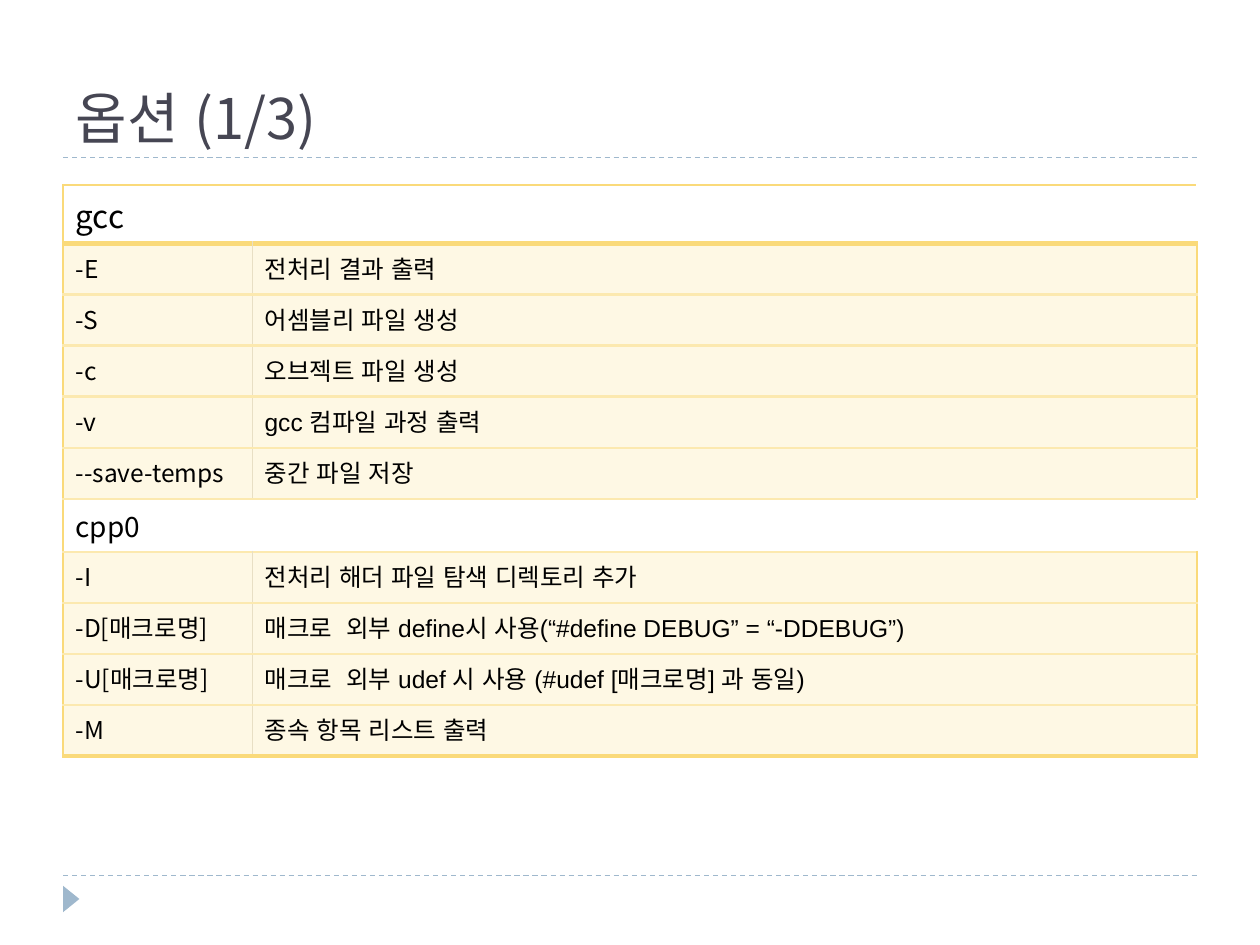
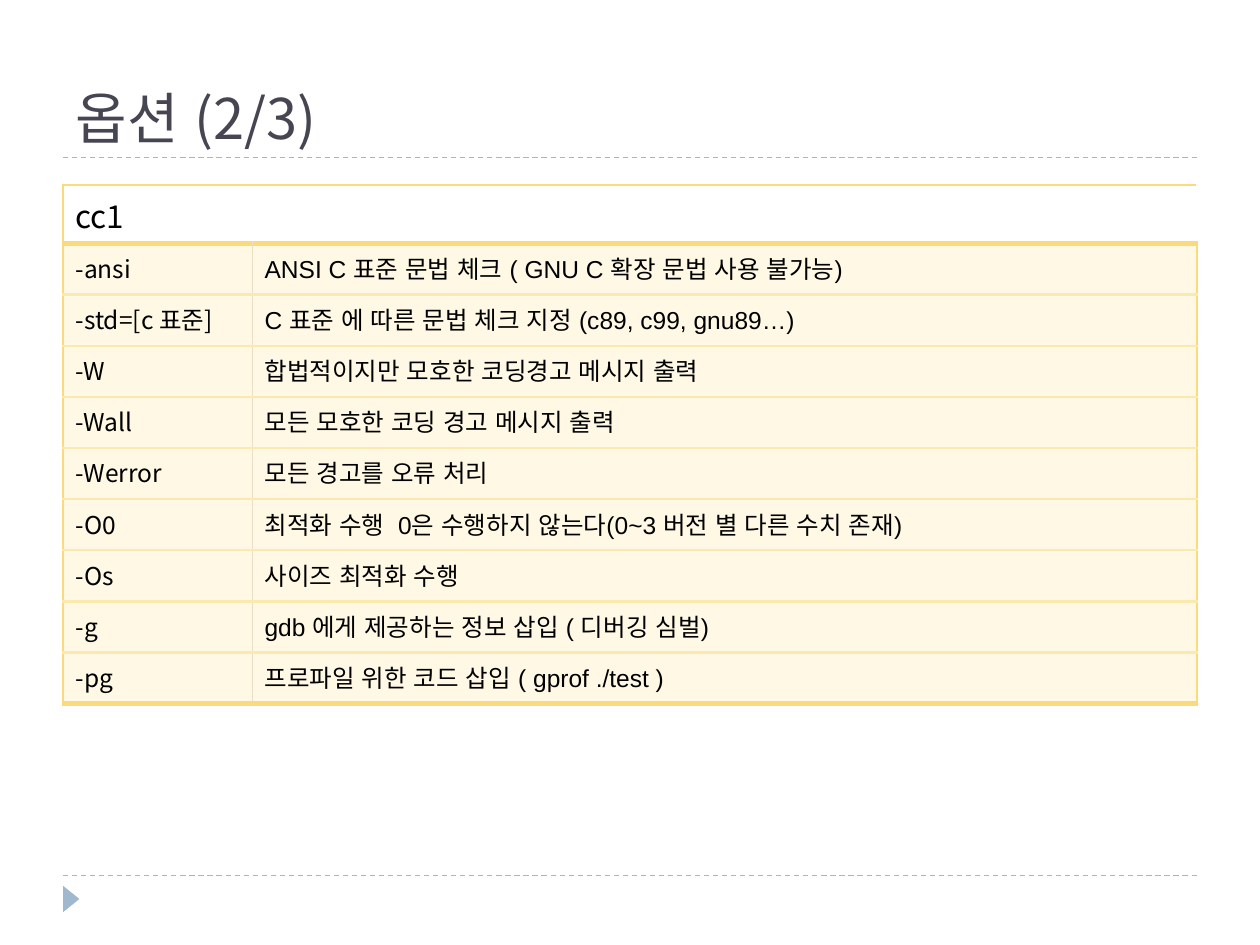
import pptx
import pptx.dml.color
import pptx.enum.dml
import pptx.enum.lang
import pptx.enum.shapes
import pptx.enum.text
import pptx.oxml
import pptx.oxml.ns
import pptx.util
from pptx.util import Inches

COLORS = {
    "title": "464653",
    "text": "000000",
    "rule": "9FB8CD",
    "white": "FFFFFF",
    "option_fill": "FEF8E4",
    "strong_border": "FADA7A",
    "row_border": "FCE9AF",
    "column_border": "E8DFC4",
}
HEADING_FONT = "Noto Sans CJK KR"
BODY_FONT = "Arial"
LEFT, WIDTH = 0.5, 9
COLUMN_WIDTHS = (1.5, 7.5)

# A row without a description is a section heading across both columns.
COMPILER_OPTIONS = [
    ("gcc", None),
    ("-E", "전처리 결과 출력"),
    ("-S", "어셈블리 파일 생성"),
    ("-c", "오브젝트 파일 생성"),
    ("-v", "gcc 컴파일 과정 출력"),
    ("--save-temps", "중간 파일 저장"),
    ("cpp0", None),
    ("-I", "전처리 해더 파일 탐색 디렉토리 추가"),
    ("-D[매크로명]", "매크로  외부 define시 사용(“#define DEBUG” = “-DDEBUG”)"),
    ("-U[매크로명]", "매크로  외부 udef 시 사용 (#udef [매크로명] 과 동일)"),
    ("-M", "종속 항목 리스트 출력"),
]
CC1_OPTIONS = [
    ("cc1", None),
    ("-ansi", "ANSI C 표준 문법 체크 ( GNU C 확장 문법 사용 불가능)"),
    ("-std=[c 표준]", "C 표준 에 따른 문법 체크 지정 (c89, c99, gnu89…)"),
    ("-W", "합법적이지만 모호한 코딩경고 메시지 출력"),
    ("-Wall", "모든 모호한 코딩 경고 메시지 출력"),
    ("-Werror", "모든 경고를 오류 처리"),
    ("-O0", "최적화 수행  0은 수행하지 않는다(0~3 버전 별 다른 수치 존재)"),
    ("-Os", "사이즈 최적화 수행"),
    ("-g", "gdb 에게 제공하는 정보 삽입 ( 디버깅 심벌)"),
    ("-pg", "프로파일 위한 코드 삽입 ( gprof ./test )"),
]


def rgb(name):
    return pptx.dml.color.RGBColor.from_string(COLORS[name])


def add_element(parent, tag, **attributes):
    element = parent.makeelement(pptx.oxml.ns.qn(tag), attributes)
    parent.append(element)
    return element


def write_text(text_frame, text, font=HEADING_FONT, size=14, color="text"):
    paragraph = text_frame.paragraphs[0]
    paragraph.alignment = pptx.enum.text.PP_ALIGN.LEFT
    run = paragraph.add_run()
    run.text = text
    run.font.name = font
    run.font.size = pptx.util.Pt(size)
    run.font.bold = False
    run.font.color.rgb = rgb(color)
    run.font.language_id = pptx.enum.lang.MSO_LANGUAGE_ID.KOREAN
    latin = run.font._element.find(pptx.oxml.ns.qn("a:latin"))
    latin.addnext(latin.makeelement(pptx.oxml.ns.qn("a:ea"), {"typeface": HEADING_FONT}))


def add_title(slide, text):
    title = slide.shapes.title
    title.left, title.top = Inches(LEFT), Inches(0.17)
    title.width, title.height = Inches(WIDTH), Inches(1.08)
    title.text_frame.auto_size = pptx.enum.text.MSO_AUTO_SIZE.NONE
    title.text_frame.vertical_anchor = pptx.enum.text.MSO_ANCHOR.BOTTOM
    write_text(title.text_frame, text, size=32, color="title")


def add_dashed_rule(slide, top):
    rule = slide.shapes.add_connector(
        pptx.enum.shapes.MSO_CONNECTOR.STRAIGHT,
        Inches(LEFT), Inches(top), Inches(LEFT + WIDTH), Inches(top))
    rule.line.color.rgb = rgb("rule")
    rule.line.width = pptx.util.Pt(0.75)
    rule.line.dash_style = pptx.enum.dml.MSO_LINE.DASH
    add_element(rule._element.spPr, "a:effectLst")


def add_footer_marker(slide):
    marker = slide.shapes.add_shape(
        pptx.enum.shapes.MSO_SHAPE.ISOSCELES_TRIANGLE,
        Inches(0.46), Inches(7.07), Inches(0.21), Inches(0.13))
    marker.rotation = 90
    marker.shadow.inherit = False
    marker.fill.solid()
    marker.fill.fore_color.rgb = rgb("rule")
    marker.line.fill.background()


def horizontal_border(edge, row_count):
    if edge == 0:
        return "strong_border", 1
    if edge in (1, row_count):
        return "strong_border", 3
    return "row_border", 1.5


def set_borders(cell, borders):
    """Draw (side, (color, points)) pairs, given in the order L, R, T, B."""
    properties = cell._tc.get_or_add_tcPr()
    for side, (color, points) in borders:
        line = add_element(properties, f"a:ln{side}", w=str(pptx.util.Pt(points)))
        fill = add_element(line, "a:solidFill")
        add_element(fill, "a:srgbClr", val=COLORS[color])


def format_cell(cell, row, column, row_count, is_heading):
    outer, inner = ("strong_border", 1), ("column_border", 0.5)
    borders = []
    if column == 0 or not is_heading:
        borders.append(("L", outer if column == 0 else inner))
    if column == 1 or not is_heading:
        borders.append(("R", outer if column == 1 else inner))
    borders.append(("T", horizontal_border(row, row_count)))
    borders.append(("B", horizontal_border(row + 1, row_count)))
    set_borders(cell, borders)
    cell.fill.solid()
    cell.fill.fore_color.rgb = rgb("white" if is_heading else "option_fill")


def add_option_table(slide, options, height):
    row_count = len(options)
    table = slide.shapes.add_table(
        row_count, len(COLUMN_WIDTHS), Inches(LEFT), Inches(1.47),
        Inches(WIDTH), Inches(height)).table
    table.first_row = table.horz_banding = False
    for column, width in zip(table.columns, COLUMN_WIDTHS):
        column.width = Inches(width)
    for row, (option, description) in enumerate(options):
        is_heading = description is None
        name_cell, description_cell = table.cell(row, 0), table.cell(row, 1)
        for column, cell in enumerate((name_cell, description_cell)):
            format_cell(cell, row, column, row_count, is_heading)
        if is_heading:
            name_cell.merge(description_cell)
            write_text(name_cell.text_frame, option, size=18 if row == 0 else 16)
        else:
            write_text(name_cell.text_frame, option)
            write_text(description_cell.text_frame, description, font=BODY_FONT)


def add_option_slide(presentation, title, options, table_height):
    slide = presentation.slides.add_slide(presentation.slide_layouts[5])
    for top in (6.95, 1.25):
        add_dashed_rule(slide, top)
    add_footer_marker(slide)
    add_title(slide, title)
    add_option_table(slide, options, table_height)


def main():
    presentation = pptx.Presentation()
    presentation.slide_width, presentation.slide_height = Inches(10), Inches(7.5)
    add_option_slide(presentation, "옵션 (1/3)", COMPILER_OPTIONS, 4.46)
    add_option_slide(presentation, "옵션 (2/3)", CC1_OPTIONS, 4.06)
    presentation.save("out.pptx")


if __name__ == "__main__":
    main()
